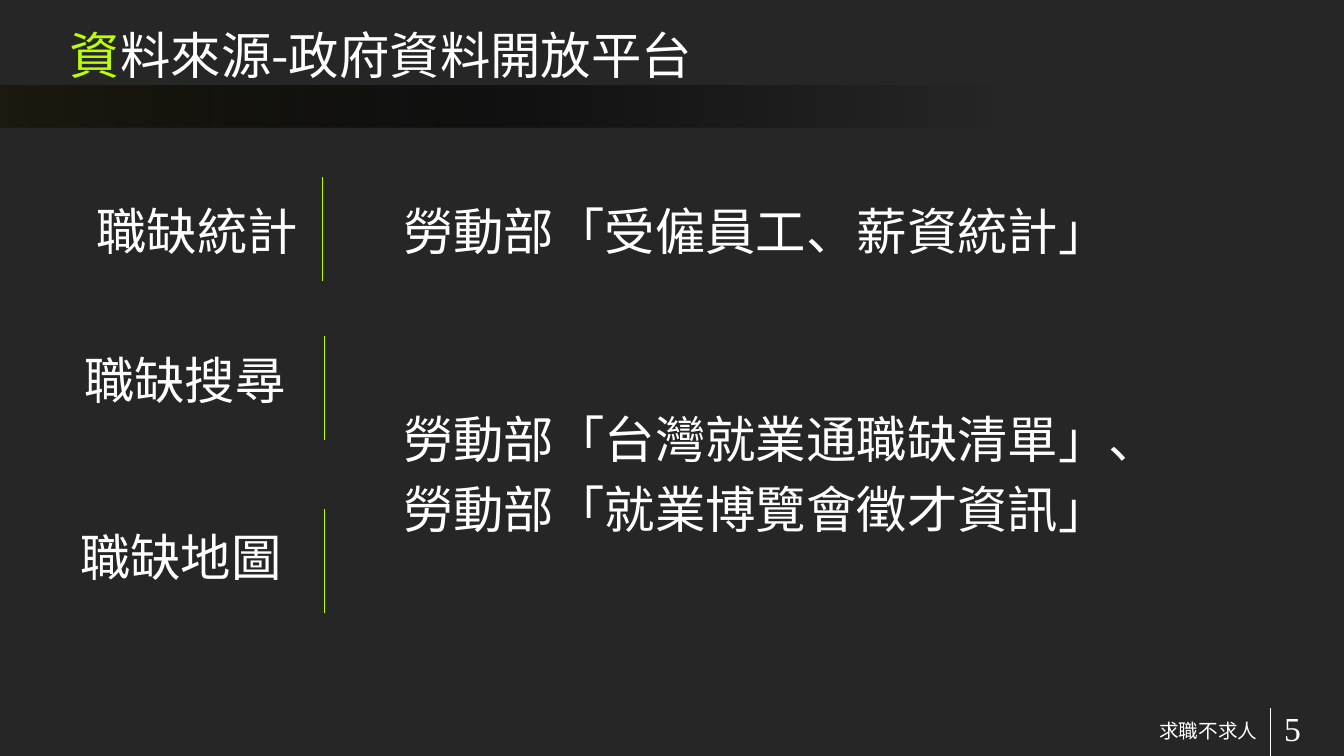
from lxml import etree
from pptx import Presentation
from pptx.dml.color import RGBColor
from pptx.enum.shapes import MSO_CONNECTOR, MSO_SHAPE
from pptx.enum.text import MSO_ANCHOR, PP_ALIGN
from pptx.oxml.ns import qn
from pptx.util import Cm, Pt

STRAIGHT = MSO_CONNECTOR.STRAIGHT
RECTANGLE = MSO_SHAPE.RECTANGLE
TOP, MIDDLE, BOTTOM = MSO_ANCHOR.TOP, MSO_ANCHOR.MIDDLE, MSO_ANCHOR.BOTTOM
LEFT, RIGHT = PP_ALIGN.LEFT, PP_ALIGN.RIGHT

BACKGROUND = RGBColor(0x26, 0x26, 0x26)
WHITE = RGBColor(0xFF, 0xFF, 0xFF)
TITLE_GREEN = RGBColor(0xBB, 0xFF, 0x02)
LINE_GREEN = RGBColor(0xB8, 0xFF, 0x00)
BROWN = RGBColor(0x1D, 0x1B, 0x10)
BLACK = RGBColor(0, 0, 0)

CJK_FONT = "Noto Sans CJK TC"
NUMBER_FONT = "Times New Roman"
BAND_STOPS = [(0, BROWN, 100), (39, BLACK, 54), (74, BLACK, 0), (100, BLACK, 0)]
WIDE_INSETS = (0.46, 0.23)
NARROW_INSETS = (0.25, 0.13)

LABEL_WIDTH, ROW_HEIGHT, DIVIDER_HEIGHT = 15.8, 3.6, 3.93
LABELS = [
    ("職缺統計", -4.29, 7.44, 12.19, 6.68),
    ("職缺搜尋", -4.75, 13.06, 12.27, 12.72),
    ("職缺地圖", -4.9, 19.76, 12.27, 19.26),
]
SOURCES = [
    (7.44, ["勞動部「受僱員工、薪資統計」"]),
    (15.29, ["勞動部「台灣就業通職缺清單」、", "勞動部「就業博覽會徵才資訊」"]),
]


def apply_format(target, values):
    for name, value in values.items():
        setattr(target, name, value)


def add_run(paragraph, text, size, color=WHITE, font_name=CJK_FONT):
    run = paragraph.add_run()
    run.text = text
    run.font.color.rgb = color
    apply_format(run.font, {"name": font_name, "size": Pt(size)})
    east_asian = etree.SubElement(run.font._element, qn("a:ea"))
    east_asian.set("typeface", font_name)


def add_text(slide, box, paragraphs, size, alignment=LEFT, anchor=TOP,
             insets=NARROW_INSETS, font_name=CJK_FONT):
    frame = slide.shapes.add_textbox(*map(Cm, box)).text_frame
    horizontal, vertical = map(Cm, insets)
    apply_format(frame, {
        "word_wrap": True,
        "vertical_anchor": anchor,
        "margin_left": horizontal,
        "margin_right": horizontal,
        "margin_top": vertical,
        "margin_bottom": vertical,
    })
    for index, runs in enumerate(paragraphs):
        paragraph = frame.add_paragraph() if index else frame.paragraphs[0]
        paragraph.alignment = alignment
        if index:
            paragraph.space_before = Pt(10.8)
        for text, color in runs:
            add_run(paragraph, text, size, color, font_name)


def add_vertical_line(slide, left, top, height, color):
    line = slide.shapes.add_connector(
        STRAIGHT, Cm(left), Cm(top), Cm(left), Cm(top + height))
    line.line.color.rgb = color
    line.line.width = Pt(0.75)
    etree.SubElement(line._element.spPr, qn("a:effectLst"))


def add_gradient_band(slide, box, stops):
    shape = slide.shapes.add_shape(RECTANGLE, *map(Cm, box))
    shape.shadow.inherit = False
    shape.line.fill.background()
    shape.fill.gradient()
    shape.fill.gradient_angle = 0
    stop_list = shape._element.spPr.find(qn("a:gradFill")).find(qn("a:gsLst"))
    for stop in list(stop_list):
        stop_list.remove(stop)
    for position, color, opacity in stops:
        stop = etree.SubElement(stop_list, qn("a:gs"), pos=str(position * 1000))
        fill = etree.SubElement(stop, qn("a:srgbClr"), val=str(color))
        etree.SubElement(fill, qn("a:alpha"), val=str(opacity * 1000))


def main():
    presentation = Presentation()
    apply_format(presentation, {"slide_width": Cm(50.8), "slide_height": Cm(28.58)})
    slide = presentation.slides.add_slide(presentation.slide_layouts[6])
    slide.background.fill.solid()
    slide.background.fill.fore_color.rgb = BACKGROUND

    add_gradient_band(slide, (0, 3.23, 50.8, 1.6), BAND_STOPS)
    add_vertical_line(slide, 48.01, 26.77, 1.8, WHITE)
    add_text(slide, (2.18, 0, 45.72, 3.43),
             [[("資", TITLE_GREEN), ("料來源-政府資料開放平台", WHITE)]], 54,
             anchor=BOTTOM, insets=WIDE_INSETS)
    add_text(slide, (18.19, 26.77, 29.79, 1.52), [[("求職不求人", WHITE)]], 21,
             alignment=RIGHT, anchor=BOTTOM, insets=WIDE_INSETS)
    add_text(slide, (48.08, 26.77, 2.92, 1.52), [[("5", WHITE)]], 36,
             anchor=MIDDLE, insets=WIDE_INSETS, font_name=NUMBER_FONT)

    for label, left, top, divider_left, divider_top in LABELS:
        add_text(slide, (left, top, LABEL_WIDTH, ROW_HEIGHT), [[(label, WHITE)]], 54,
                 alignment=RIGHT)
        add_vertical_line(slide, divider_left, divider_top, DIVIDER_HEIGHT, LINE_GREEN)
    for top, lines in SOURCES:
        add_text(slide, (14.99, top, 30.61, ROW_HEIGHT),
                 [[(line, WHITE)] for line in lines], 54)

    presentation.save("out.pptx")


if __name__ == "__main__":
    main()
